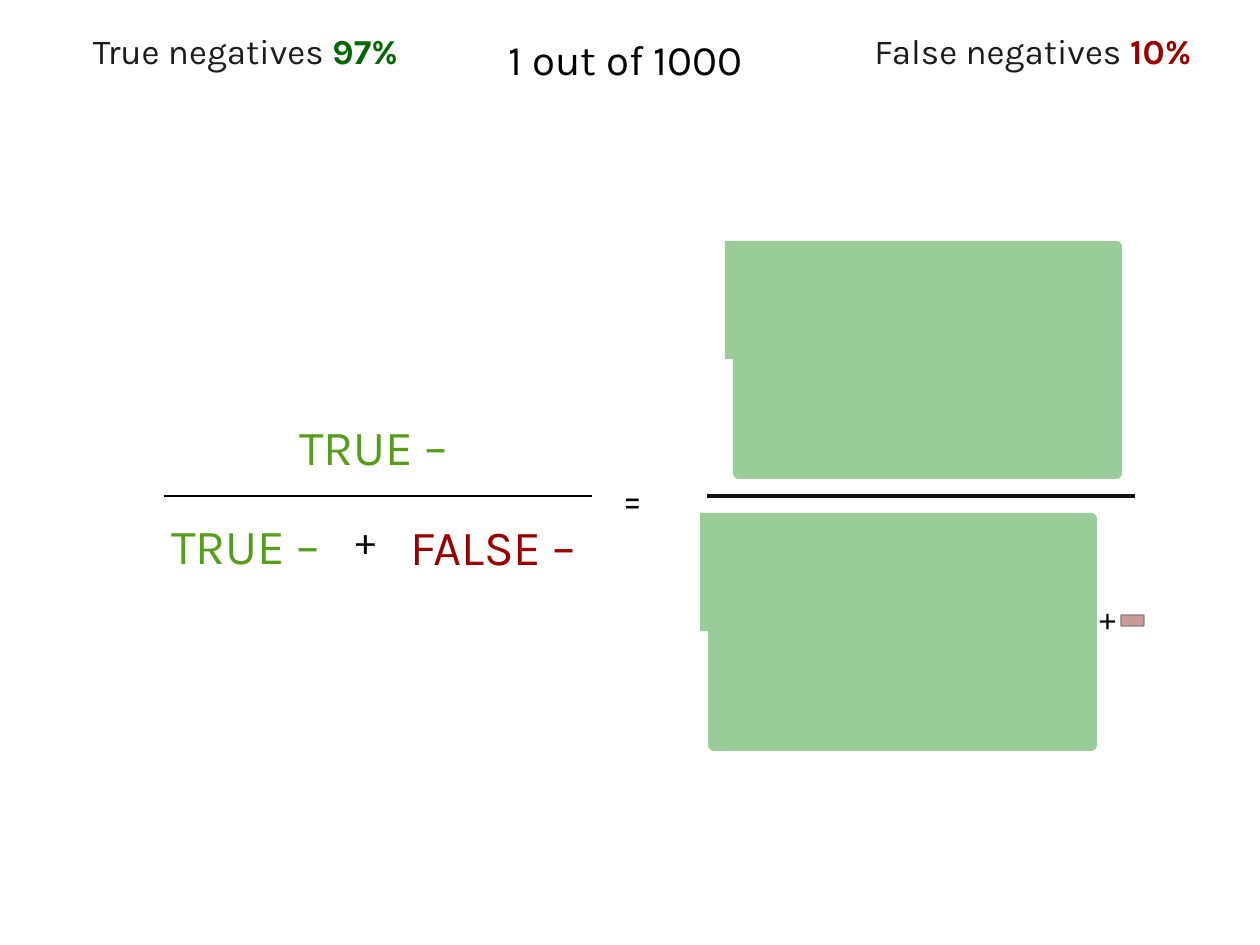
"""Build the slide that sets true negatives against all negatives as a fraction."""
import math
import pptx
import pptx.util
import pptx.dml.color
import pptx.enum.shapes
import pptx.enum.text
import pptx.oxml.ns
from dataclasses import dataclass
from lxml import etree


@dataclass(frozen=True)
class Theme:
    font: str = "Karla"
    plain: str = "Arial"
    black: str = "000000"
    ink: str = "1C1C1C"
    rule: str = "111111"
    edge: str = "808080"
    leaf: str = "579D1C"
    green: str = "006600"
    red: str = "990000"
    block: str = "008000"
    chip: str = "800000"
    alpha: int = 40
    head: int = 24
    rate: int = 20
    term: int = 28
    sign: int = 22
    small: int = 18


T = Theme()
UNIT = 914400 / 126
SIZE = (1260, 945)
TITLE = ("1 out of 1000", (364, 16, 523, 86))
RATES = [
    ("True negatives ", "97%", T.green, (63, 18, 365, 65)),
    ("False negatives ", "10%", T.red, (818, 20, 430, 61)),
]
TERMS = [
    ("TRUE –", T.term, T.leaf, T.font, (287, 410, 189, 72)),
    ("FALSE –", T.term, T.red, T.font, (398, 510, 214, 130)),
    ("TRUE –", T.term, T.leaf, T.font, (159, 509, 189, 72)),
    ("+", T.sign, T.black, T.font, (343, 510, 53, 72)),
    ("=", T.sign, T.black, T.font, (610, 469, 53, 72)),
    ("+", T.small, T.black, T.plain, (1086, 595, 33, 48)),
]
BARS = [(164, 592, 496, T.black, 1.5), (707, 1135, 496, T.rule, 0)]
BLOCKS = [(725, 241), (700, 513)]
WIDE, HIGH, STEP, NOTCH, ROUND = 397, 238, 8, 118, 6
CHIP = (1121, 615, 23, 11)


def emu(*vals):
    return [round(v * UNIT) for v in vals]


def color(code):
    return pptx.dml.color.RGBColor.from_string(code)


def write(frame, runs, font=T.font, mid=False):
    frame.word_wrap = True
    frame.auto_size = pptx.enum.text.MSO_AUTO_SIZE.NONE
    para = frame.paragraphs[0]
    if mid:
        frame.margin_left = frame.margin_right = 0
        frame.margin_top = frame.margin_bottom = 0
        frame.vertical_anchor = pptx.enum.text.MSO_ANCHOR.MIDDLE
        para.alignment = pptx.enum.text.PP_ALIGN.CENTER
        para.space_before = pptx.util.Pt(8)
    for text, size, tint, bold in runs:
        run = para.add_run()
        run.text = text
        run.font.name = font
        run.font.size = pptx.util.Pt(size)
        run.font.bold = bold
        run.font.color.rgb = color(tint)


def paint(shape, tint):
    shape.shadow.inherit = False
    shape.fill.solid()
    shape.fill.fore_color.rgb = color(tint)
    tag = pptx.oxml.ns.qn("a:srgbClr")
    node = next(shape._element.spPr.iter(tag))
    alpha = etree.SubElement(node, pptx.oxml.ns.qn("a:alpha"))
    alpha.set("val", str(T.alpha * 1000))


def arc(x, y, start):
    turns = [math.radians(start + 15 * i) for i in range(7)]
    return [(x + ROUND * math.cos(a), y + ROUND * math.sin(a)) for a in turns]


def add_block(shapes, left, top):
    right, low = WIDE - ROUND, HIGH - ROUND
    dots = [(0, 0), *arc(right, ROUND, -90), *arc(right, low, 0),
            *arc(STEP + ROUND, low, 90), (STEP, NOTCH), (0, NOTCH)]
    dots = [emu(left + x, top + y) for x, y in dots]
    form = shapes.build_freeform(*dots[0])
    form.add_line_segments(dots[1:], close=True)
    shape = form.convert_to_shape()
    paint(shape, T.block)
    shape.line.fill.background()


def add_bar(shapes, left, right, y, tint, width):
    kind = pptx.enum.shapes.MSO_CONNECTOR.STRAIGHT
    bar = shapes.add_connector(kind, *emu(left, y, right, y))
    bar.line.color.rgb = color(tint)
    bar.line.width = pptx.util.Pt(width)
    etree.SubElement(bar._element.spPr, pptx.oxml.ns.qn("a:effectLst"))


def add_chip(shapes):
    kind = pptx.enum.shapes.MSO_SHAPE.ROUNDED_RECTANGLE
    chip = shapes.add_shape(kind, *emu(*CHIP))
    chip.adjustments[0] = 0.05
    paint(chip, T.chip)
    chip.line.color.rgb = color(T.edge)
    chip.line.width = pptx.util.Pt(0.75)


def main():
    deck = pptx.Presentation()
    deck.slide_width, deck.slide_height = emu(*SIZE)
    shapes = deck.slides.add_slide(deck.slide_layouts[5]).shapes
    text, box = TITLE
    head = shapes.title
    head.left, head.top, head.width, head.height = emu(*box)
    write(head.text_frame, [(text, T.head, T.black, False)], mid=True)
    for text, size, tint, font, box in TERMS:
        frame = shapes.add_textbox(*emu(*box)).text_frame
        write(frame, [(text, size, tint, False)], font)
    for label, rate, tint, box in RATES:
        runs = [(label, T.rate, T.ink, False), (rate, T.rate, tint, True)]
        write(shapes.add_textbox(*emu(*box)).text_frame, runs, mid=True)
    for bar in BARS:
        add_bar(shapes, *bar)
    add_chip(shapes)
    for spot in BLOCKS:
        add_block(shapes, *spot)
    deck.save("out.pptx")


if __name__ == "__main__":
    main()
